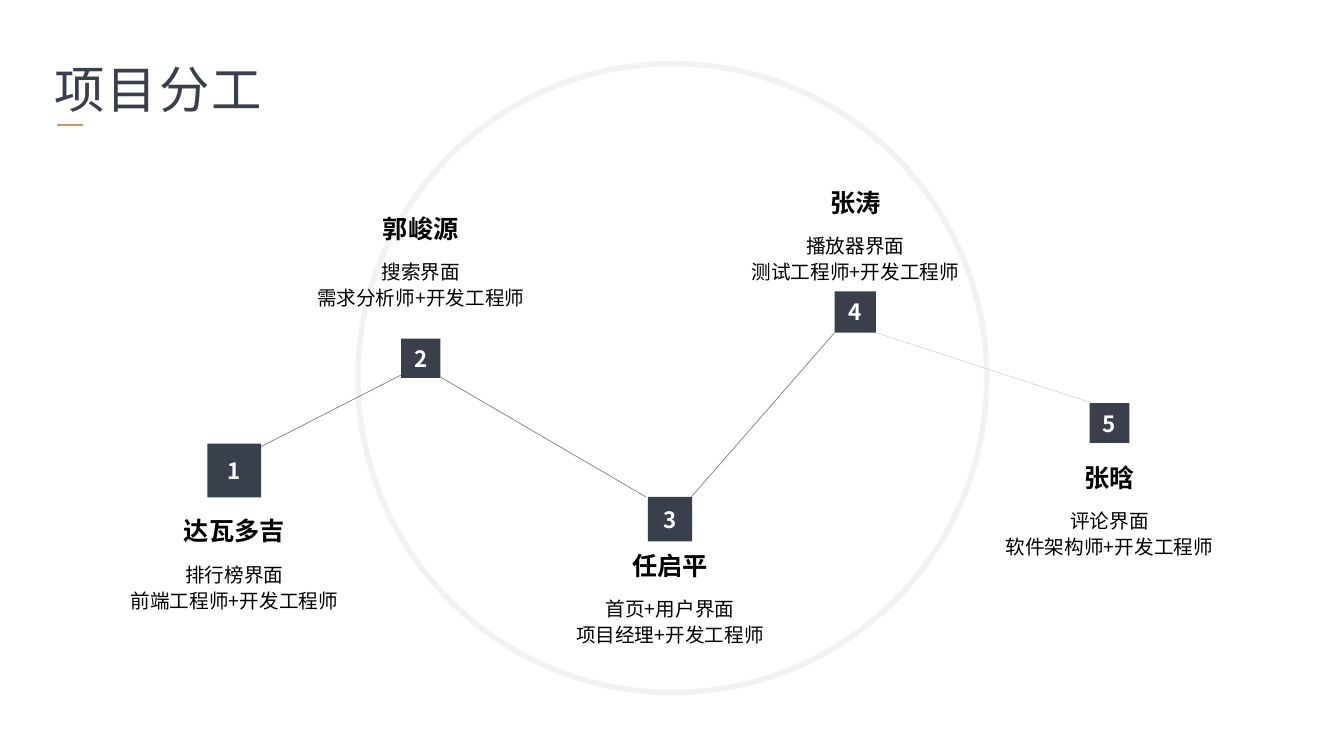
from pptx import Presentation
from pptx.dml.color import RGBColor
from pptx.enum.shapes import MSO_CONNECTOR, MSO_SHAPE
from pptx.enum.text import MSO_ANCHOR, PP_ALIGN
from pptx.oxml.ns import qn
from pptx.util import Pt

FONT = "Noto Sans CJK SC"
COLORS = {
    "white": "FFFFFF",
    "ring": "F2F2F2",
    "slate": "3A404B",
    "gold": "BF996F",
    "path": "808080",
    "faint": "BFBFBF",
    "black": "000000",
}


def write(shape, text, size, color, bold=False, align=PP_ALIGN.CENTER,
          anchor=MSO_ANCHOR.TOP, spacing=None, tracking=None):
    """Fill a shape with text, one paragraph per line; tracking is in points."""
    frame = shape.text_frame
    frame.text = text
    frame.word_wrap = True
    frame.vertical_anchor = anchor
    for paragraph in frame.paragraphs:
        paragraph.alignment = align
        paragraph.line_spacing = spacing
        for run in paragraph.runs:
            run.font.size = Pt(size)
            run.font.bold = bold
            run.font.name = FONT
            run.font.color.rgb = RGBColor.from_string(COLORS[color])
            properties = run.font._element
            east_asian = properties.makeelement(qn("a:ea"), {"typeface": FONT})
            properties.find(qn("a:latin")).addnext(east_asian)
            if tracking:
                properties.set("spc", str(int(tracking * 100)))


def draw_line(x1, y1, x2, y2, color, width):
    line = shapes.add_connector(MSO_CONNECTOR.STRAIGHT, Pt(x1), Pt(y1), Pt(x2), Pt(y2))
    line.line.color.rgb = RGBColor.from_string(COLORS[color])
    line.line.width = Pt(width)
    properties = line._element.spPr
    properties.append(properties.makeelement(qn("a:effectLst"), {}))


prs = Presentation()
prs.slide_width, prs.slide_height = Pt(960), Pt(540)
slide = prs.slides.add_slide(prs.slide_layouts[6])
shapes = slide.shapes

# Background ring and title
ring = shapes.add_shape(MSO_SHAPE.OVAL, Pt(255.6), Pt(45.4), Pt(449.3), Pt(449.3))
ring.shadow.inherit = False
ring.fill.solid()
ring.fill.fore_color.rgb = RGBColor.from_string(COLORS["white"])
ring.line.color.rgb = RGBColor.from_string(COLORS["ring"])
ring.line.width = Pt(4)

title = shapes.add_textbox(Pt(31.7), Pt(29.5), Pt(352.8), Pt(57.6))
write(title, "项目分工", 36, "slate", align=PP_ALIGN.LEFT, spacing=1.2, tracking=1.5)
draw_line(41, 89.3, 59, 89.3, "gold", 2)

# Path from badge to badge, meeting them near their corners
for x1, y1, x2, y2 in [
    (186.5, 319, 288, 267.1),
    (314.6, 269.3, 461.5, 355),
    (488.2, 361.4, 596.2, 237.6),
]:
    draw_line(x1, y1, x2, y2, "path", 0.5)

# Badge centre x, badge top, badge side, name top, name, roles
members = [
    (167.4, 316.8, 38.4, 361.4, "达瓦多吉", "排行榜界面\n前端工程师+开发工程师"),
    (300.6, 241.9, 28.1, 145.4, "郭峻源", "搜索界面\n需求分析师+开发工程师"),
    (478.6, 355, 31.7, 385.9, "任启平", "首页+用户界面\n项目经理+开发工程师"),
    (611, 208.1, 29.5, 126.7, "张涛", "播放器界面\n测试工程师+开发工程师"),
    (792.5, 288, 28.4, 323.3, "张晗", "评论界面\n软件架构师+开发工程师"),
]
LABEL_WIDTH, NAME_HEIGHT, ROLES_HEIGHT = 228.2, 35.3, 47.5

for number, (center, top, side, name_top, name, roles) in enumerate(members, 1):
    badge = shapes.add_shape(MSO_SHAPE.RECTANGLE, Pt(center - side / 2), Pt(top), Pt(side), Pt(side))
    badge.shadow.inherit = False
    badge.fill.solid()
    badge.fill.fore_color.rgb = RGBColor.from_string(COLORS["slate"])
    badge.line.fill.background()
    write(badge, str(number), 16, "white", bold=True, anchor=MSO_ANCHOR.MIDDLE)

    left = Pt(center - LABEL_WIDTH / 2)
    name_box = shapes.add_textbox(left, Pt(name_top), Pt(LABEL_WIDTH), Pt(NAME_HEIGHT))
    write(name_box, name, 18, "black", bold=True, anchor=MSO_ANCHOR.MIDDLE)
    roles_box = shapes.add_textbox(left, Pt(name_top + NAME_HEIGHT), Pt(LABEL_WIDTH), Pt(ROLES_HEIGHT))
    write(roles_box, roles, 14, "black", spacing=1.1)

draw_line(625.7, 237.6, 780.5, 288, "faint", 0.25)

prs.save("out.pptx")
